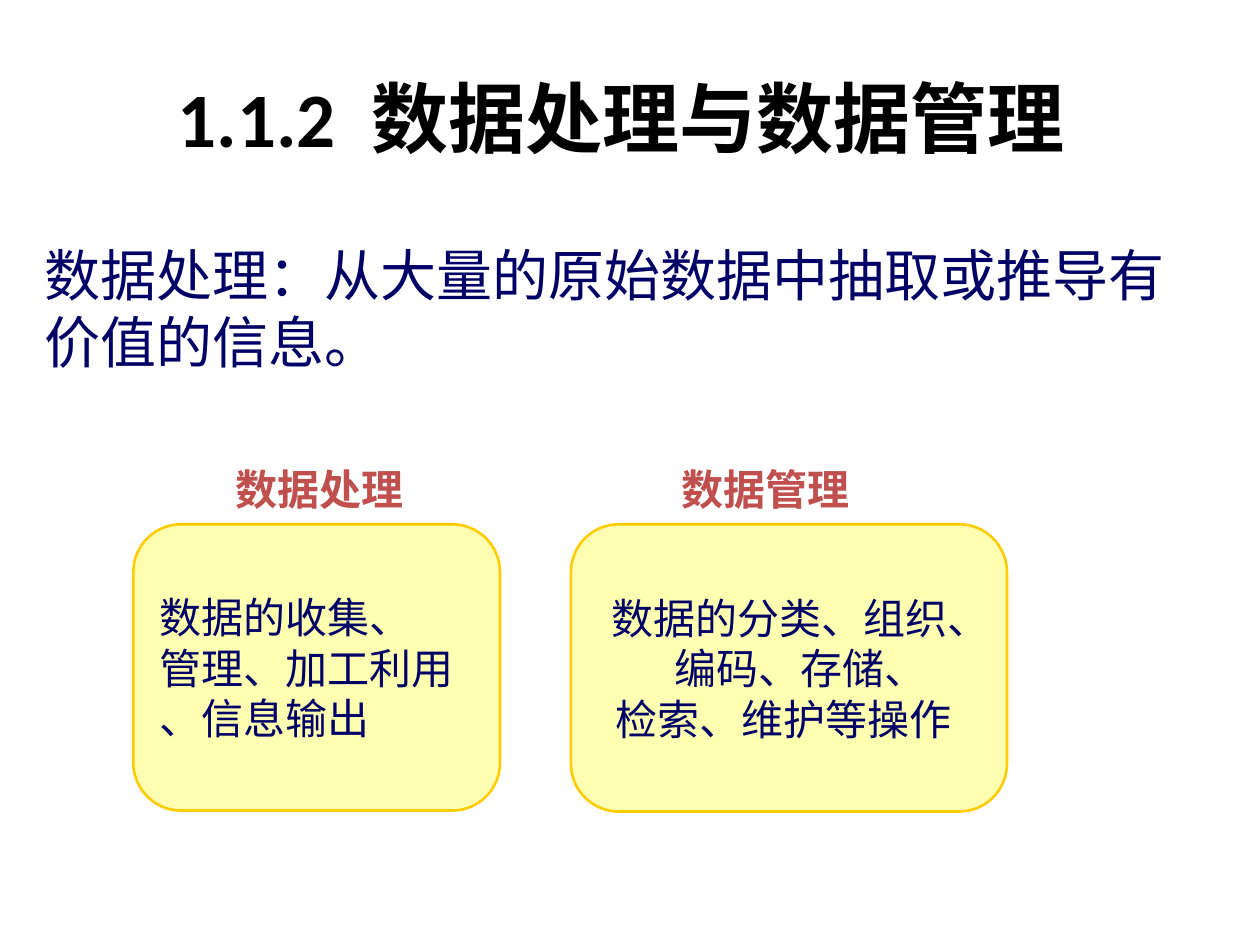
from dataclasses import dataclass

from lxml.etree import SubElement
from pptx import Presentation
from pptx.dml.color import RGBColor
from pptx.enum.shapes import MSO_SHAPE
from pptx.enum.text import MSO_ANCHOR, MSO_AUTO_SIZE, PP_ALIGN
from pptx.oxml.ns import qn
from pptx.util import Cm, Pt


@dataclass(frozen=True)
class Theme:
    """Colours, fonts and type sizes of the slide."""
    ink: RGBColor = RGBColor(0x00, 0x00, 0x00)
    navy: RGBColor = RGBColor(0x00, 0x00, 0x66)
    red: RGBColor = RGBColor(0xC0, 0x50, 0x4D)
    cream: RGBColor = RGBColor(0xFF, 0xFF, 0x99)
    gold: RGBColor = RGBColor(0xFF, 0xCC, 0x00)
    cream_opacity: int = 76
    heading_font: str = "Calibri"
    text_font: str = "Arial"
    title_size: int = 44
    body_size: int = 32
    card_size: int = 24


THEME = Theme()


def place(sp, box):
    """Move and size a shape to a box given in centimetres."""
    sp.left, sp.top, sp.width, sp.height = (Cm(v) for v in box)


def add_run(p, text, size, color, bold=False, font=THEME.text_font):
    """Add one formatted run to a paragraph and return it."""
    r = p.add_run()
    r.text = text
    r.font.name, r.font.size, r.font.bold = font, Pt(size), bold
    r.font.color.rgb = color
    return r


def set_margins(p, left=0, right=0):
    """Set the side margins of a paragraph in centimetres."""
    pPr = p._p.get_or_add_pPr()
    pPr.set("marL", str(Cm(left)))
    pPr.set("marR", str(Cm(right)))


def add_title(s, box, number, text):
    """Fill the title placeholder with a section number and a heading."""
    sp = s.shapes.title
    place(sp, box)
    tf = sp.text_frame
    tf.vertical_anchor = MSO_ANCHOR.MIDDLE
    p = tf.paragraphs[0]
    p.alignment = PP_ALIGN.CENTER
    set_margins(p, right=0.35)
    runs = [add_run(p, part, THEME.title_size, THEME.ink, True, THEME.heading_font)
            for part in (number, " ", text)]
    runs[1].font._element.set("spc", "1000")


def add_text(s, box, text, size, color, bold=False, wrap=True):
    """Add a text box holding one paragraph."""
    tf = s.shapes.add_textbox(*(Cm(v) for v in box)).text_frame
    tf.word_wrap = wrap
    tf.auto_size = MSO_AUTO_SIZE.SHAPE_TO_FIT_TEXT
    add_run(tf.paragraphs[0], text, size, color, bold)


def add_card(s, box, label_left, label, lines, align):
    """Add a rounded card with a label above; lines are (text, left, right margin)."""
    x, y, _, _ = box
    sp = s.shapes.add_shape(MSO_SHAPE.FLOWCHART_ALTERNATE_PROCESS, *(Cm(v) for v in box))
    sp.shadow.inherit = False
    sp.fill.solid()
    sp.fill.fore_color.rgb = THEME.cream
    clr = sp._element.spPr.find(qn("a:solidFill"))[0]
    SubElement(clr, qn("a:alpha")).set("val", str(THEME.cream_opacity * 1000))
    sp.line.color.rgb = THEME.gold
    sp.line.width = Pt(1.5)
    tf = sp.text_frame
    tf.word_wrap = False
    tf.vertical_anchor = MSO_ANCHOR.MIDDLE
    for i, (text, left, right) in enumerate(lines):
        p = tf.add_paragraph() if i else tf.paragraphs[0]
        p.alignment = align
        set_margins(p, left, right)
        add_run(p, text, THEME.card_size, THEME.navy)
    add_text(s, (x + label_left, y - 1.35, 4.19, 1.3), label,
             THEME.card_size, THEME.red, bold=True, wrap=False)


def main():
    """Build the slide and save it."""
    prs = Presentation()
    prs.slide_width, prs.slide_height = Cm(25.4), Cm(19.05)
    s = prs.slides.add_slide(prs.slide_layouts[5])
    add_title(s, (1.27, 0.76, 22.86, 3.18), "1.1.2", "数据处理与数据管理")
    add_card(s, (2.69, 10.57, 7.39, 5.77), 1.81, "数据处理",
             [("数据的收集、", 0, 0), ("管理、加工利用", 0, 0), ("、信息输出", 0, 0)],
             PP_ALIGN.LEFT)
    add_card(s, (11.51, 10.57, 8.79, 5.79), 1.98, "数据管理",
             [("数据的分类、组织、", 0.47, 0), ("编码、存储、", 0.47, 0),
              ("检索、维护等操作", 0, 0.23)],
             PP_ALIGN.CENTER)
    add_text(s, (0.64, 4.72, 24.16, 3), "数据处理：从大量的原始数据中抽取或推导有价值的信息。",
             THEME.body_size, THEME.navy)
    prs.save("out.pptx")


if __name__ == "__main__":
    main()
